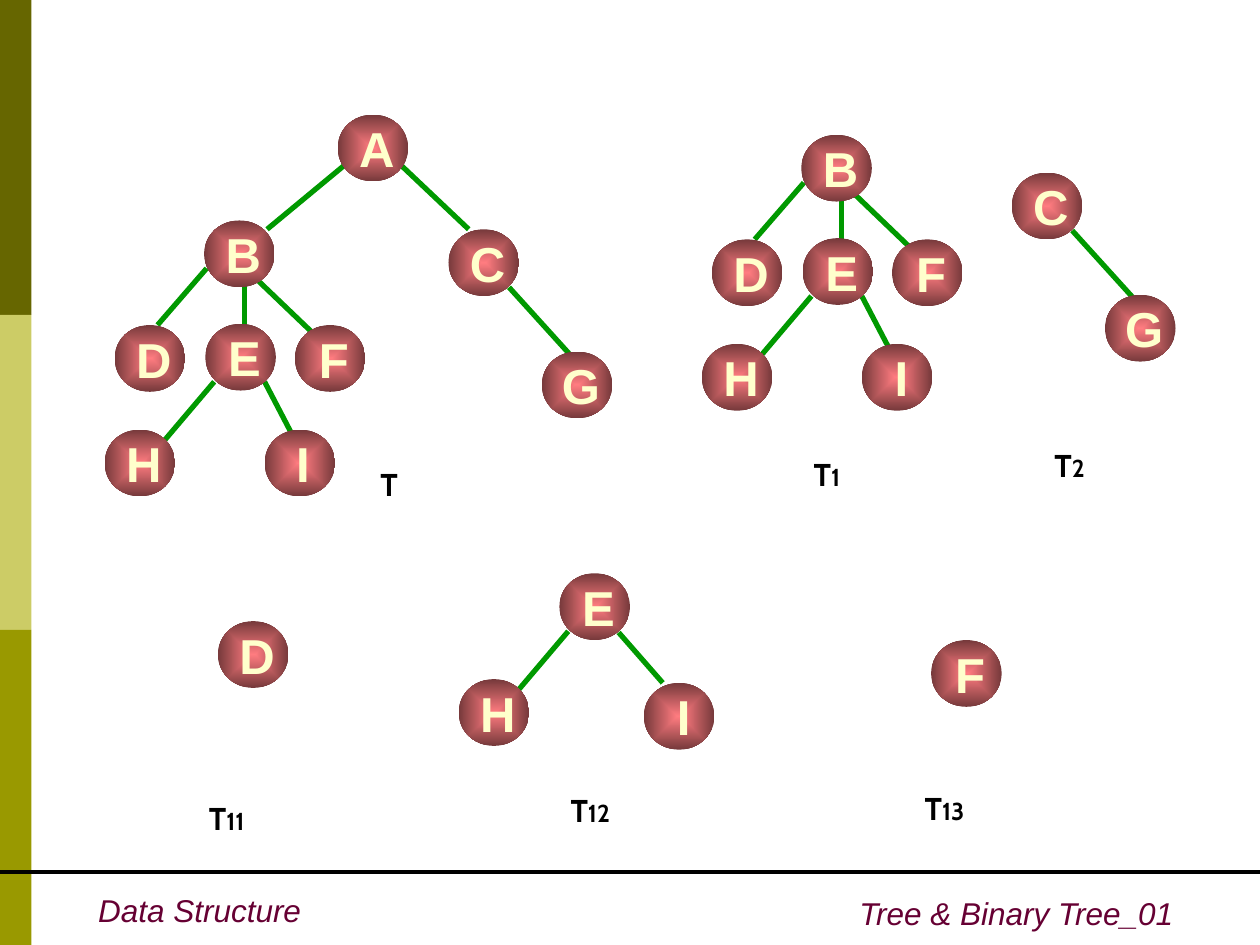
from dataclasses import dataclass

from lxml.etree import SubElement
from pptx import Presentation
from pptx.dml.color import RGBColor as Rgb
from pptx.enum.shapes import MSO_CONNECTOR as Link, MSO_SHAPE as Form
from pptx.enum.text import MSO_ANCHOR as Anchor, MSO_AUTO_SIZE as Fit, PP_ALIGN as Align
from pptx.oxml.ns import qn
from pptx.util import Inches, Pt


@dataclass(frozen=True)
class Theme:
    bands: tuple = ("666600", "CCCC66", "999900")
    ink: str = "000000"
    foot: str = "660033"
    edge: str = "009900"
    core: str = "FF7C80"
    rim: str = "76393B"
    mark: str = "FFFFCC"
    sans: str = "Arial"
    label: str = "Cabin"
    big: int = 28
    mid: int = 18
    small: int = 14


LOOK = Theme()
NODE_W, NODE_H = 0.56, 0.53
MARK_H, MARK_MID = 0.57, 0.31
MARK_W = {"E": 0.46, "F": 0.44, "G": 0.5, "I": 0.31}

# child: parent, offset from parent, edge start on parent, edge end on child
LINKS = {
    "B": ("A", (-1.06, 0.84), (0.08, 0.38), (0.5, 0.07)),
    "C": ("A", (0.88, 0.91), (0.48, 0.38), (0.16, 0)),
    "D": ("B", (-0.71, 0.83), (0.02, 0.38), (0.34, 0)),
    "E": ("B", (0.01, 0.82), (0.32, 0.45), (0.31, 0.01)),
    "F": ("B", (0.72, 0.83), (0.4, 0.45), (0.16, 0.08)),
    "G": ("C", (0.74, 0.97), (0.48, 0.46), (0.22, 0.02)),
    "H": ("E", (-0.8, 0.84), (0.07, 0.46), (0.48, 0.08)),
    "I": ("E", (0.47, 0.84), (0.47, 0.46), (0.24, 0.08)),
}
WIDE = LINKS | {"I": ("E", (0.67, 0.87), (0.47, 0.47), (0.15, 0))}


def add(a, b):
    return a[0] + b[0], a[1] + b[1]


def box(x, y, w, h):
    return [Inches(round(v, 2)) for v in (x, y, w, h)]


def rule(shapes, start, end, color, width):
    ends = [Inches(round(v, 2)) for v in (*start, *end)]
    line = shapes.add_connector(Link.STRAIGHT, *ends)
    line.line.color.rgb = Rgb.from_string(color)
    line.line.width = Pt(width)
    SubElement(line._element.spPr, qn("a:effectLst"))


def text(shapes, area, words, size, color, font=LOOK.sans, wrap=False,
         align=Align.LEFT, bold=False, italic=False):
    frame = shapes.add_textbox(*box(*area)).text_frame
    frame.word_wrap = wrap
    frame.auto_size = Fit.SHAPE_TO_FIT_TEXT
    para = frame.paragraphs[0]
    para.text = words
    para.alignment = align
    face = para.font
    face.name, face.size = font, Pt(size)
    face.bold, face.italic = bold, italic
    face.color.rgb = Rgb.from_string(color)
    return frame


def node(shapes, at):
    ball = shapes.add_shape(Form.OVAL, *box(*at, NODE_W, NODE_H))
    ball.shadow.inherit = False
    ball.line.fill.background()
    ball.fill.gradient()
    for stop, color in zip(ball.fill.gradient_stops, (LOOK.core, LOOK.rim)):
        stop.color.rgb = Rgb.from_string(color)
    # Turn the linear gradient into one from the centre
    grad = ball._element.spPr.find(qn("a:gradFill"))
    grad.remove(grad.find(qn("a:lin")))
    ring = SubElement(grad, qn("a:path"), path="rect")
    SubElement(ring, qn("a:fillToRect"), dict.fromkeys("ltrb", "50000"))


def mark(shapes, at, name):
    wide = MARK_W.get(name, 0.48)
    x, y = add(at, (MARK_MID - wide / 2, -0.02))
    frame = text(shapes, (x, y, wide, MARK_H), name, LOOK.big, LOOK.mark,
                 align=Align.CENTER, bold=True)
    frame.vertical_anchor = Anchor.MIDDLE


def tree(slide, root, at, index, tag, links=LINKS):
    """Draw the subtree under root, whose node box starts at the given point."""
    shapes = slide.shapes.add_group_shape().shapes
    spots = {root: at}
    for kid, (top, step, start, end) in links.items():
        if top in spots:
            spots[kid] = add(spots[top], step)
            rule(shapes, add(spots[top], start), add(spots[kid], end), LOOK.edge, 3)
    for spot in spots.values():
        node(shapes, spot)
    for name, spot in spots.items():
        mark(shapes, spot, name)

    # Caption with a smaller index
    wide = 0.64 if index else 0.4
    frame = text(shapes, (*add(at, tag), wide, 0.4), "T", LOOK.mid, LOOK.ink,
                 LOOK.label, wrap=True, bold=True)
    if index:
        run = frame.paragraphs[0].add_run()
        run.text = index
        run.font.size = Pt(LOOK.small)


def side(slide, x, y, w, h):
    step = h / len(LOOK.bands)
    for i, color in enumerate(LOOK.bands):
        band = slide.shapes.add_shape(Form.RECTANGLE, *box(x, y + i * step, w, step))
        band.shadow.inherit = False
        band.fill.solid()
        band.fill.fore_color.rgb = Rgb.from_string(color)
        band.line.fill.background()


def footer(slide, x, y, w):
    shapes = slide.shapes
    text(shapes, (x + 0.68, y + 0.1, 1.81, 0.4), "Data Structure",
         LOOK.mid, LOOK.foot, italic=True)
    rule(shapes, (x, y), (x + w, y), LOOK.ink, 2.25)
    text(shapes, (x + 6.1, y + 0.13, 3.31, 0.4), "Tree & Binary Tree_01",
         LOOK.mid, LOOK.foot, wrap=True, align=Align.RIGHT, italic=True)


def main():
    deck = Presentation()
    deck.slide_width, deck.slide_height = Inches(10), Inches(7.5)
    slide = deck.slides.add_slide(deck.slide_layouts[6])
    side(slide, 0, 0, 0.25, 7.5)
    footer(slide, 0, 6.92, 10)

    # Whole tree, then its subtrees: root, place, index, caption offset
    tree(slide, "A", (2.68, 0.91), "", (0.24, 2.73))
    tree(slide, "B", (6.36, 1.07), "1", (0, 2.49))
    tree(slide, "C", (8.03, 1.37), "2", (0.24, 2.12))
    tree(slide, "D", (1.73, 4.93), "11", (-0.17, 1.36))
    tree(slide, "E", (4.44, 4.55), "12", (-0.01, 1.68), WIDE)
    tree(slide, "F", (7.39, 5.08), "13", (-0.15, 1.13))
    deck.save("out.pptx")


main()
